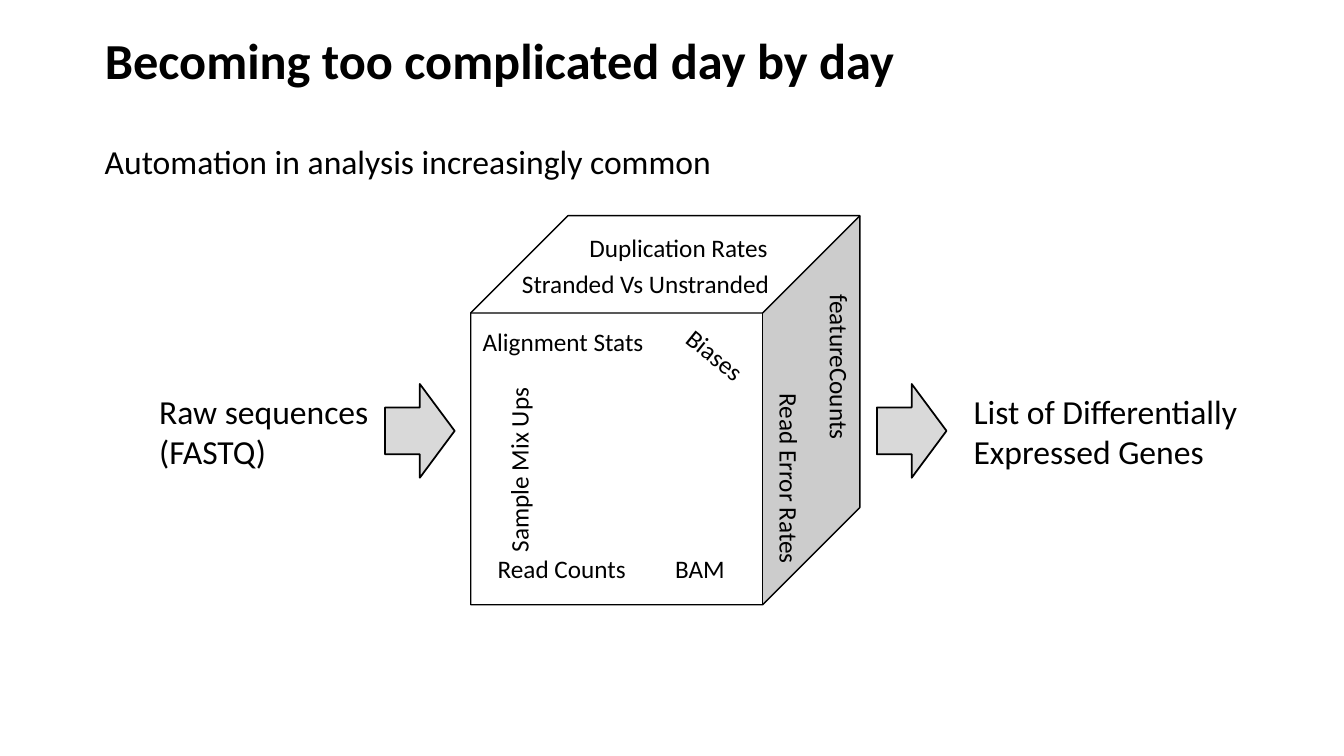
from pptx import Presentation
from pptx.dml.color import RGBColor
from pptx.enum.shapes import MSO_SHAPE as Shape
from pptx.enum.text import MSO_ANCHOR as Anchor, MSO_AUTO_SIZE as AutoSize, PP_ALIGN as Align
from pptx.util import Inches, Pt

WIDTH, HEIGHT = Inches(13.333), Inches(7.5)
FONT = "Calibri"
BLACK, WHITE, GREY = "000000", "FFFFFF", "D9D9D9"

LABEL_HEIGHT = 5.33
ARROW_LEFTS = (28.65, 65.25)

# Process labels on the cube: text, centre x, centre y, width, rotation
CUBE_LABELS = [
    ("BAM", 52.13, 75.2, 5.25, 0),
    ("Read Counts", 41.89, 75.2, 11.18, 0),
    ("Alignment Stats", 41.96, 45.2, 13.58, 0),
    ("Duplication Rates", 50.59, 32.8, 14.93, 0),
    ("featureCounts", 62.48, 48.67, 12.45, 90),
    ("Read Error Rates", 58.76, 63.47, 14.33, 90),
    ("Stranded Vs Unstranded", 48.15, 37.47, 20.1, 0),
    ("Sample Mix Ups", 38.59, 62, 13.88, 270),
    ("Biases", 53.25, 46.93, 6.3, 38.8),
]


def color(hex_code):
    return RGBColor.from_string(hex_code)


def across(share):
    """Length as a percentage of the slide width."""
    return round(WIDTH * share / 100)


def down(share):
    """Length as a percentage of the slide height."""
    return round(HEIGHT * share / 100)


def area(left, top, width, height):
    return across(left), down(top), across(width), down(height)


def write(box, lines, size, bold=False, wrap=False):
    frame = box.text_frame
    frame.word_wrap = wrap
    frame.auto_size = AutoSize.SHAPE_TO_FIT_TEXT
    frame.vertical_anchor = Anchor.TOP
    for index, line in enumerate(lines):
        para = frame.add_paragraph() if index else frame.paragraphs[0]
        para.alignment = Align.LEFT
        span = para.add_run()
        span.text = line
        span.font.name = FONT
        span.font.size = Pt(size)
        span.font.bold = bold
        span.font.color.rgb = color(BLACK)


def add_title(page, text, place):
    title = page.shapes.title
    title.left, title.top, title.width, title.height = place
    write(title, [text], 36, bold=True)


def add_text(page, lines, place, size=24, wrap=False):
    box = page.shapes.add_textbox(*place)
    write(box, lines, size, wrap=wrap)
    return box


def add_label(page, text, center_x, center_y, width, rotation):
    place = area(center_x - width / 2, center_y - LABEL_HEIGHT / 2, width, LABEL_HEIGHT)
    add_text(page, [text], place, size=18).rotation = rotation


def add_solid(page, kind, place, fill, line_width):
    solid = page.shapes.add_shape(kind, *place)
    solid.shadow.inherit = False
    solid.fill.solid()
    solid.fill.fore_color.rgb = color(fill)
    solid.line.color.rgb = color(BLACK)
    solid.line.width = Pt(line_width)


def main():
    deck = Presentation()
    deck.slide_width, deck.slide_height = WIDTH, HEIGHT
    page = deck.slides.add_slide(deck.slide_layouts[5])

    # Heading
    add_title(page, "Becoming too complicated day by day", area(7.05, 3.2, 61.35, 9.47))
    add_text(page, ["Automation in analysis increasingly common"],
             area(7.05, 18, 50, 6.67), wrap=True)

    # Pipeline: input, cube, output
    add_solid(page, Shape.CUBE, area(35.03, 28.53, 28.95, 51.47), WHITE, 1)
    add_text(page, ["Raw sequences", "(FASTQ)"], area(11.1, 51.07, 17.85, 12.13))
    add_text(page, ["List of Differentially", "Expressed Genes"],
             area(71.7, 51.07, 21.98, 12.13))
    for left in ARROW_LEFTS:
        add_solid(page, Shape.RIGHT_ARROW, area(left, 50.8, 5.18, 12.4), GREY, 1.25)

    # Labels on the cube faces
    for label in CUBE_LABELS:
        add_label(page, *label)

    deck.save("out.pptx")


if __name__ == "__main__":
    main()
